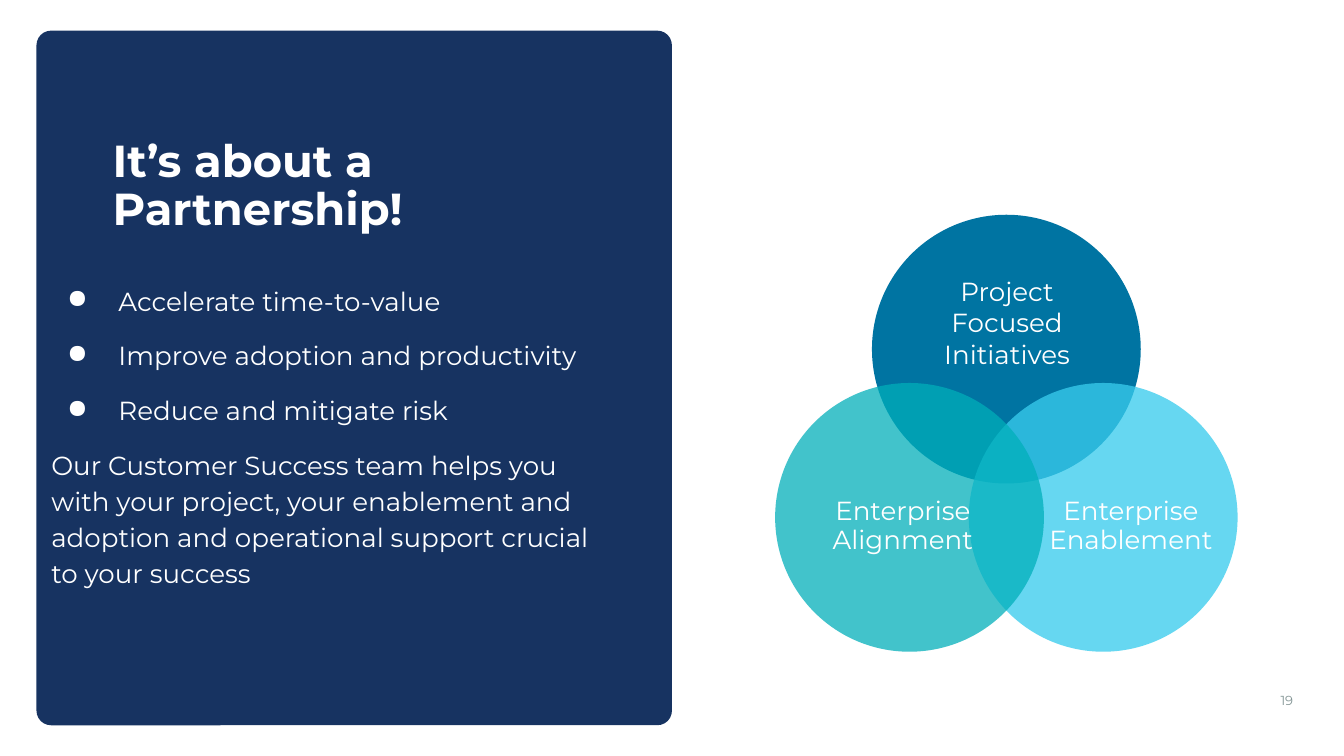
from dataclasses import dataclass

from lxml.etree import SubElement
from pptx import Presentation
from pptx.dml.color import RGBColor
from pptx.enum.shapes import MSO_SHAPE
from pptx.enum.text import MSO_ANCHOR, MSO_AUTO_SIZE, PP_ALIGN
from pptx.oxml.ns import qn
from pptx.util import Cm, Pt

NAVY = RGBColor(0x17, 0x33, 0x61)
BLUE = RGBColor(0x00, 0x74, 0xA2)
SKY = RGBColor(0x38, 0xCC, 0xED)
TEAL = RGBColor(0x00, 0xAF, 0xBA)
GREY = RGBColor(0x82, 0x94, 0x94)
WHITE = RGBColor(0xFF, 0xFF, 0xFF)
FONT = "Montserrat"
ROUND = 5.08
MID = 19.02
SHIFT = 1.83


@dataclass(frozen=True)
class Box:
    left: float
    top: float
    width: float
    height: float

    def place(self) -> tuple:
        return Cm(self.left), Cm(self.top), Cm(self.width), Cm(self.height)


@dataclass(frozen=True)
class Ring:
    mid: float
    top: float
    color: RGBColor
    solid: int
    text: str
    label: Box
    space: float


RINGS = [
    Ring(MID, 4.06, BLUE, 100, "Project Focused Initiatives",
         Box(17.17, 4.95, 3.73, 2.29), 1.0),
    Ring(MID + SHIFT, 7.24, SKY, 77, "Enterprise Enablement",
         Box(19.66, 8.56, 3.43, 2.79), 0.9),
    Ring(MID - SHIFT, 7.24, TEAL, 74, "Enterprise Alignment",
         Box(15.54, 8.56, 3.05, 2.79), 0.9),
]

POINTS = [
    "Accelerate time-to-value",
    "Improve adoption and productivity",
    "Reduce and mitigate risk",
]
CLOSING = ("Our Customer Success team helps you with your project, your "
           "enablement and adoption and operational support crucial to "
           "your success")


def set_frame(frame, pads: tuple, anchor: MSO_ANCHOR) -> None:
    frame.word_wrap = True
    frame.auto_size = MSO_AUTO_SIZE.NONE
    frame.vertical_anchor = anchor
    (frame.margin_left, frame.margin_top,
     frame.margin_right, frame.margin_bottom) = map(Cm, pads)


def add_words(line, text: str, size: float, color: RGBColor = WHITE,
              bold: bool = False, align: PP_ALIGN = PP_ALIGN.LEFT,
              space: float = 1.0) -> None:
    line.alignment = align
    line.line_spacing = space
    run = line.add_run()
    run.text = text
    run.font.name = FONT
    run.font.size = Pt(size)
    run.font.bold = bold
    run.font.color.rgb = color


def add_bullet(line) -> None:
    props = line._p.get_or_add_pPr()
    props.set("marL", str(Cm(1.27)))
    props.set("indent", str(Cm(-0.97)))
    tint = SubElement(props, qn("a:buClr"))
    SubElement(tint, qn("a:srgbClr")).set("val", str(WHITE))
    SubElement(props, qn("a:buChar")).set("char", "●")


def add_form(slide, kind: MSO_SHAPE, box: Box, color: RGBColor,
             solid: int = 100):
    form = slide.shapes.add_shape(kind, *box.place())
    form.shadow.inherit = False
    form.fill.solid()
    form.fill.fore_color.rgb = color
    form.line.fill.background()
    if solid < 100:
        tint = form.element.spPr.find(qn("a:solidFill"))[0]
        SubElement(tint, qn("a:alpha")).set("val", str(solid * 1000))
    return form


def add_ring(slide, ring: Ring) -> None:
    box = Box(ring.mid - ROUND / 2, ring.top, ROUND, ROUND)
    add_form(slide, MSO_SHAPE.OVAL, box, ring.color, ring.solid)
    if ring.solid == 100:
        label = add_form(slide, MSO_SHAPE.RECTANGLE, ring.label, ring.color)
    else:
        label = slide.shapes.add_textbox(*ring.label.place())
    set_frame(label.text_frame, (0, 0, 0, 0), MSO_ANCHOR.MIDDLE)
    add_words(label.text_frame.paragraphs[0], ring.text, 14,
              align=PP_ALIGN.CENTER, space=ring.space)


def add_title(slide) -> None:
    title = slide.shapes.title
    box = Box(2.13, 2.49, 10.31, 3.02)
    title.left, title.top, title.width, title.height = box.place()
    set_frame(title.text_frame, (0, 0.13, 0.25, 0.13), MSO_ANCHOR.TOP)
    add_words(title.text_frame.paragraphs[0], "It’s about a Partnership!",
              24, bold=True, space=0.9)


def add_body(slide) -> None:
    body = slide.shapes.add_textbox(*Box(0.97, 5.05, 10.77, 5.82).place())
    frame = body.text_frame
    set_frame(frame, (0, 0.25, 0, 0), MSO_ANCHOR.TOP)
    for index, text in enumerate([*POINTS, CLOSING]):
        line = frame.add_paragraph() if index else frame.paragraphs[0]
        if text in POINTS:
            add_bullet(line)
        if index:
            line.space_before = Pt(10)
        add_words(line, text, 14, space=1.15)


def add_page(slide) -> None:
    page = slide.shapes.add_textbox(*Box(23.32, 12.9, 1.12, 0.66).place())
    set_frame(page.text_frame, (0.25, 0.13, 0, 0.13), MSO_ANCHOR.MIDDLE)
    add_words(page.text_frame.paragraphs[0], "19", 7, GREY,
              align=PP_ALIGN.RIGHT)


def main() -> None:
    deck = Presentation()
    deck.slide_width, deck.slide_height = Cm(25.4), Cm(14.29)
    slide = deck.slides.add_slide(deck.slide_layouts[5])
    panel = add_form(slide, MSO_SHAPE.ROUNDED_RECTANGLE,
                     Box(0.69, 0.58, 12.01, 13.13), NAVY)
    panel.adjustments[0] = 0.023
    slide.shapes.title.element.addprevious(panel.element)
    add_title(slide)
    add_body(slide)
    add_page(slide)
    for ring in RINGS:
        add_ring(slide, ring)
    deck.save("out.pptx")


if __name__ == "__main__":
    main()
